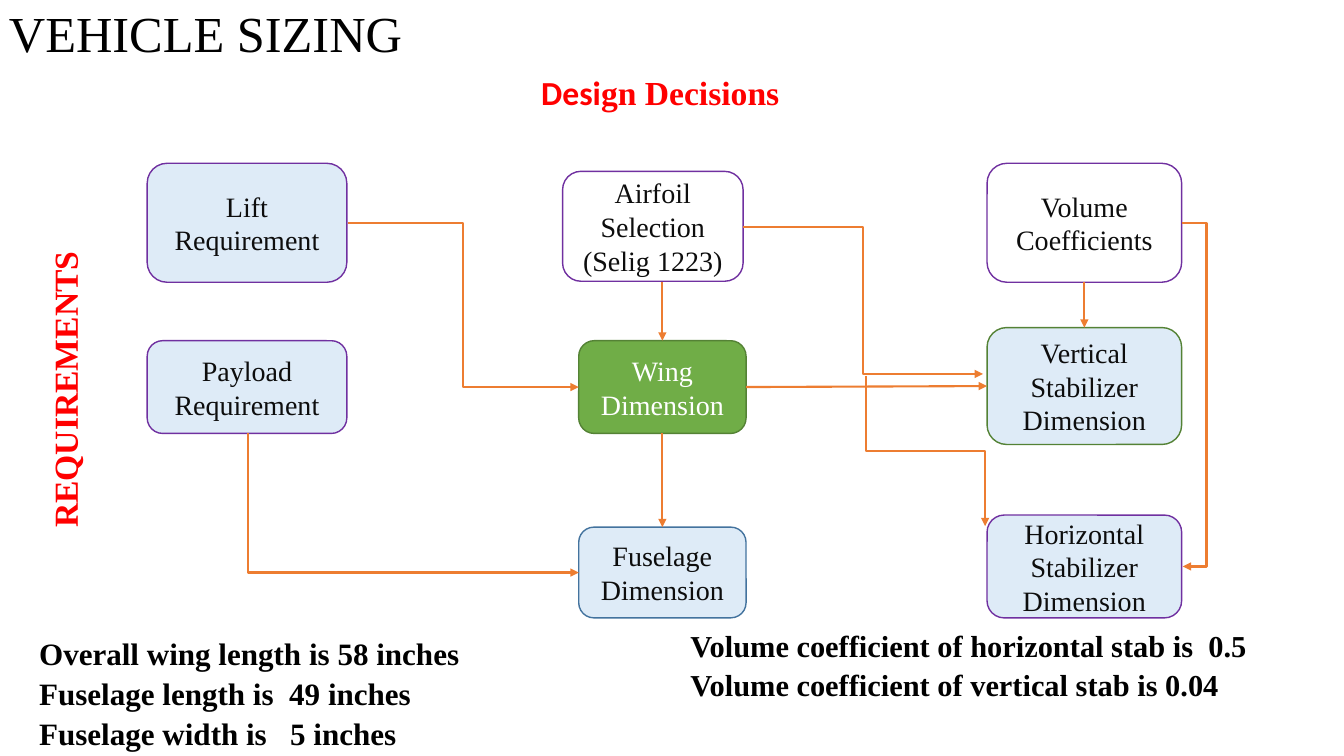
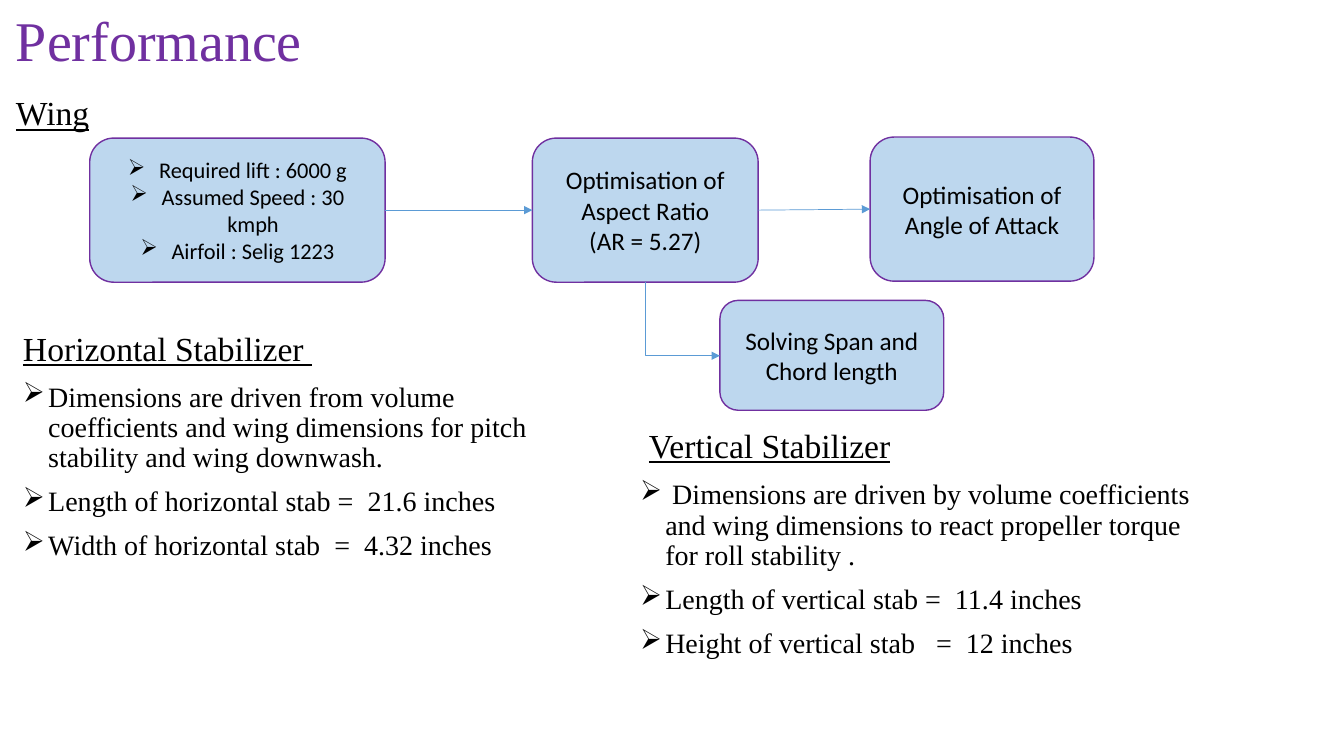
from lxml import etree
from pptx import Presentation
from pptx.dml.color import RGBColor
from pptx.enum import shapes, text
from pptx.oxml import ns
from pptx.util import Inches, Pt

SERIF, SANS = "Times New Roman", "Calibri"
BLACK = RGBColor(0x00, 0x00, 0x00)
INK = RGBColor(0x0D, 0x0D, 0x0D)
WHITE = RGBColor(0xFF, 0xFF, 0xFF)
RED = RGBColor(0xFF, 0x00, 0x00)
PURPLE = RGBColor(0x70, 0x30, 0xA0)
ORANGE = RGBColor(0xED, 0x7D, 0x31)
GREEN = RGBColor(0x70, 0xAD, 0x47)
DARK_GREEN = RGBColor(0x54, 0x82, 0x35)
BLUE = RGBColor(0x5B, 0x9B, 0xD5)
DARK_BLUE = RGBColor(0x43, 0x73, 0x9E)
PALE_BLUE = RGBColor(0xDE, 0xEB, 0xF7)
SOFT_BLUE = RGBColor(0xBD, 0xD7, 0xEE)

TOP, MIDDLE, BOTTOM = (text.MSO_ANCHOR.TOP, text.MSO_ANCHOR.MIDDLE,
                       text.MSO_ANCHOR.BOTTOM)


# Text helpers
def add_run(paragraph, wording, size, color, font=SERIF, bold=False, underline=False):
    run = paragraph.add_run()
    run.text = wording
    run.font.size, run.font.name = Pt(size), font
    run.font.color.rgb = color
    run.font.bold, run.font.underline = bold, underline


def add_bullet(paragraph, indent):
    props = paragraph._p.get_or_add_pPr()
    props.set("marL", str(Inches(indent)))
    props.set("indent", str(-Inches(indent)))
    etree.SubElement(props, ns.qn("a:buChar")).set("char", "➢")


def paragraphs(frame, count):
    yield frame.paragraphs[0]
    for _ in range(count - 1):
        yield frame.add_paragraph()


def add_text(slide, box, lines, anchor=TOP, spacing=0.9, before=10, bulleted_from=None):
    """Each line is a list of runs, each run the arguments of add_run."""
    area = slide.shapes.add_textbox(*map(Inches, box))
    frame = area.text_frame
    frame.word_wrap, frame.vertical_anchor = True, anchor
    for number, (paragraph, runs) in enumerate(zip(paragraphs(frame, len(lines)), lines)):
        paragraph.line_spacing, paragraph.space_before = spacing, Pt(before)
        if bulleted_from is not None and number >= bulleted_from:
            add_bullet(paragraph, 0.25)
        for run in runs:
            add_run(paragraph, *run)
    return area


def add_title(slide, box, wording, size, color):
    add_text(slide, box, [[(wording, size, color)]], MIDDLE, before=0)


# Flow chart helpers
def add_step(slide, box, lines, fill, outline=PURPLE, color=INK, size=20,
             font=SERIF, bulleted=False):
    step = slide.shapes.add_shape(shapes.MSO_SHAPE.ROUNDED_RECTANGLE, *map(Inches, box))
    step.shadow.inherit = False
    step.fill.solid()
    step.fill.fore_color.rgb = fill
    step.line.color.rgb, step.line.width = outline, Pt(1)
    frame = step.text_frame
    frame.word_wrap, frame.vertical_anchor = True, MIDDLE
    for paragraph, wording in zip(paragraphs(frame, len(lines)), lines):
        paragraph.alignment = text.PP_ALIGN.CENTER
        if bulleted:
            add_bullet(paragraph, 0.31)
        add_run(paragraph, wording, size, color, font)
    return step


def add_arrow(slide, start, end, color, width, kind=shapes.MSO_CONNECTOR.STRAIGHT):
    arrow = slide.shapes.add_connector(kind, *map(Inches, start + end))
    arrow.line.color.rgb, arrow.line.width = color, Pt(width)
    etree.SubElement(arrow.line._get_or_add_ln(), ns.qn("a:tailEnd")).set("type", "triangle")
    etree.SubElement(arrow._element.spPr, ns.qn("a:effectLst"))
    return arrow


def add_elbow(slide, start, end, color, width, down_first=False, bend=None, corner=False):
    """Bent arrow to the lower right; bend is the turning point as a share of its run."""
    if down_first:
        # A quarter turn about the centre makes the first leg vertical
        (x1, y1), (x2, y2) = start, end
        cx, cy, half_w, half_h = (x1 + x2) / 2, (y1 + y2) / 2, (y2 - y1) / 2, (x2 - x1) / 2
        start, end = (cx - half_w, cy - half_h), (cx + half_w, cy + half_h)
    arrow = add_arrow(slide, start, end, color, width, shapes.MSO_CONNECTOR.ELBOW)
    props = arrow._element.spPr
    geometry = props.find(ns.qn("a:prstGeom"))
    if down_first:
        frame = props.find(ns.qn("a:xfrm"))
        frame.set("rot", str(270 * 60000))
        frame.set("flipH", "1")
    if corner:
        geometry.set("prst", "bentConnector2")
    if bend is not None:
        guide = etree.SubElement(geometry.find(ns.qn("a:avLst")), ns.qn("a:gd"))
        guide.set("name", "adj1")
        guide.set("fmla", f"val {round(bend * 100000)}")


def link_steps(slide, first, second, sites, color, width):
    arrow = add_arrow(slide, (0, 0), (1, 1), color, width)
    arrow.begin_connect(first, sites[0])
    arrow.end_connect(second, sites[1])


DOWNWARD, RIGHTWARD = (2, 0), (3, 1)


# Slide 1: sizing flow
def sizing_flow(slide):
    left, middle, right = 1.46, 5.74, 9.79
    add_step(slide, (left, 1.62, 1.98, 1.18), ["Lift Requirement"], PALE_BLUE)
    add_step(slide, (left, 3.38, 1.98, 0.92), ["Payload Requirement"], PALE_BLUE)
    add_step(slide, (5.58, 1.7, 1.79, 1.09), ["Airfoil Selection", "(Selig 1223)"], WHITE)
    volume = add_step(slide, (right, 1.62, 1.93, 1.18), ["Volume Coefficients"], WHITE)
    wing = add_step(slide, (middle, 3.38, 1.66, 0.92), ["Wing Dimension"],
                    GREEN, DARK_GREEN, WHITE)
    vertical = add_step(slide, (right, 3.25, 1.93, 1.16),
                        ["Vertical Stabilizer Dimension"], PALE_BLUE, DARK_GREEN)
    add_step(slide, (right, 5.11, 1.93, 1.02), ["Horizontal Stabilizer Dimension"], PALE_BLUE)
    fuselage = add_step(slide, (middle, 5.23, 1.66, 0.9), ["Fuselage Dimension"],
                        PALE_BLUE, DARK_BLUE)

    pen = (ORANGE, 1.5)
    add_arrow(slide, (6.57, 2.8), (6.57, 3.38), *pen)
    link_steps(slide, wing, fuselage, DOWNWARD, *pen)
    link_steps(slide, volume, vertical, DOWNWARD, *pen)
    link_steps(slide, wing, vertical, RIGHTWARD, *pen)
    add_elbow(slide, (3.45, 2.21), (5.74, 3.84), *pen)
    add_elbow(slide, (2.46, 4.3), (5.74, 5.68), *pen, down_first=True, corner=True)
    add_elbow(slide, (11.72, 2.21), (11.73, 5.62), *pen, bend=25)
    add_elbow(slide, (7.37, 2.25), (9.75, 3.71), *pen)
    add_elbow(slide, (8.59, 3.73), (9.77, 5.22), *pen, down_first=True, bend=0.5)


def results(slide, box, lines, size, anchor):
    add_text(slide, box, [[(line, size, BLACK, SERIF, True)] for line in lines],
             anchor, spacing=0.7)


def sizing_slide(slide):
    add_title(slide, (-0.01, 0, 4.44, 0.72), "VEHICLE SIZING", 36, BLACK)
    add_text(slide, (5.27, 0.58, 2.96, 0.59),
             [[("Desi", 24, RED, SANS, True), ("gn Decisions", 24, RED, SERIF, True)]], BOTTOM)
    side_heading = add_text(slide, (-0.77, 3.54, 3, 0.59),
                            [[("REQUIREMENTS", 24, RED, SERIF, True)]])
    side_heading.rotation = 270
    sizing_flow(slide)
    results(slide, (0.29, 6.25, 5.64, 1.25),
            ["Overall wing length is 58 inches", "Fuselage length is  49 inches",
             "Fuselage width is   5 inches"], 22.2, BOTTOM)
    results(slide, (6.75, 6.27, 5.97, 1.03),
            ["Volume coefficient of horizontal stab is  0.5",
             "Volume coefficient of vertical stab is 0.04"], 21.7, TOP)


# Slide 2: performance
def wing_flow(slide):
    style = dict(fill=SOFT_BLUE, color=BLACK, font=SANS)
    inputs = add_step(slide, (0.89, 1.37, 2.93, 1.43),
                      ["Required lift : 6000 g", "Assumed Speed : 30 kmph",
                       "Airfoil : Selig 1223"], size=16, bulleted=True, **style)
    ratio = add_step(slide, (5.28, 1.37, 2.24, 1.43),
                     ["Optimisation of Aspect Ratio", "(AR = 5.27)"], size=18, **style)
    attack = add_step(slide, (8.63, 1.36, 2.22, 1.43),
                      ["Optimisation of Angle of Attack"], size=18, **style)
    add_step(slide, (7.14, 2.98, 2.22, 1.09), ["Solving Span and Chord length"],
             size=18, **style)
    pen = (BLUE, 0.5)
    link_steps(slide, inputs, ratio, RIGHTWARD, *pen)
    link_steps(slide, ratio, attack, RIGHTWARD, *pen)
    add_elbow(slide, (6.4, 2.8), (7.14, 3.53), *pen, down_first=True, corner=True)


def stabilizer_notes(slide, box, heading, points):
    add_text(slide, box, [heading] + [[(point, 20, BLACK)] for point in points],
             bulleted_from=1)


def underlined(wording):
    return (wording, 24, BLACK, SERIF, False, True)


def performance_slide(slide):
    add_title(slide, (0.06, 0.1, 3.68, 0.66), "Performance", 40, PURPLE)
    add_text(slide, (0.06, 0.47, 5.64, 0.9), [[underlined("Wing")]], BOTTOM)
    wing_flow(slide)
    stabilizer_notes(
        slide, (0.13, 3.25, 5.64, 4.03), [underlined("Horizontal Stabilizer ")],
        ["Dimensions are driven from volume coefficients and wing dimensions "
         "for pitch stability and wing downwash.",
         "Length of horizontal stab =  21.6 inches",
         "Width of horizontal stab  =  4.32 inches"])
    stabilizer_notes(
        slide, (6.25, 4.16, 5.67, 3.2),
        [(" ", 28, BLACK, SANS), underlined("Vertical Stabilizer")],
        [" Dimensions are driven by volume coefficients and wing dimensions "
         "to react propeller torque for roll stability .",
         "Length of vertical stab =  11.4 inches",
         "Height of vertical stab   =  12 inches"])


def main():
    deck = Presentation()
    deck.slide_width, deck.slide_height = Inches(13.33), Inches(7.5)
    for build in (sizing_slide, performance_slide):
        build(deck.slides.add_slide(deck.slide_layouts[6]))
    deck.save("out.pptx")


if __name__ == "__main__":
    main()
